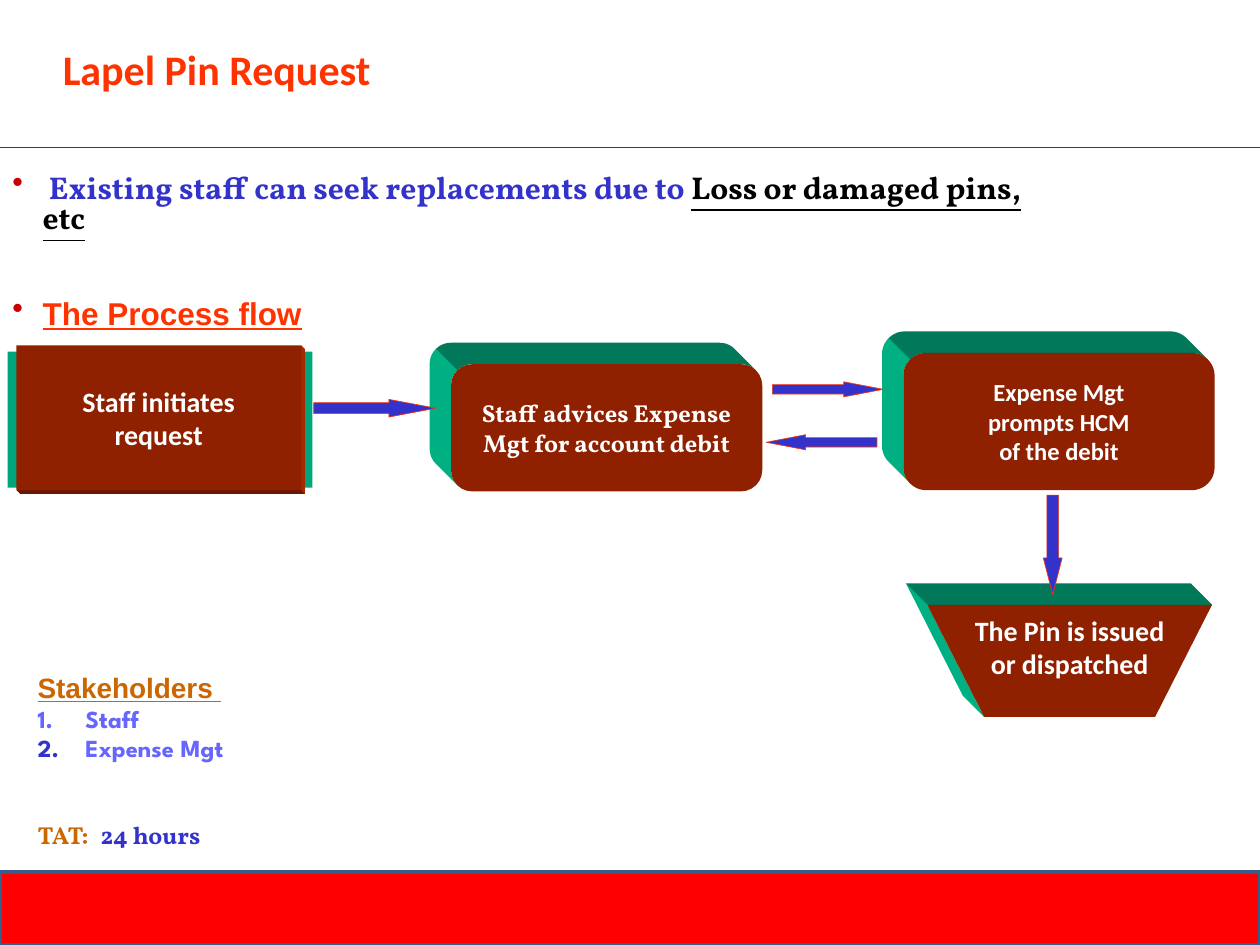
from math import cos, radians, sin

from lxml.etree import SubElement
from pptx import Presentation
from pptx.dml.color import RGBColor
from pptx.enum.shapes import MSO_CONNECTOR, MSO_SHAPE
from pptx.enum.text import MSO_ANCHOR, PP_ALIGN
from pptx.oxml.ns import qn
from pptx.util import Inches, Pt


class Theme:
    red, orange, ochre = "FF0000", "FF3300", "CC6600"
    rule, bar_edge = "CC0000", "385D8A"
    blue, violet, black, white = "3333CC", "6666FF", "000000", "FFFFFF"
    front, front_right, front_bottom = "8F2000", "A82800", "6B1800"
    side, side_top, slab = "00B083", "007859", "00A57C"
    title, lead, heading, body = 24, 18, 16, 14
    sans, head, serif, display = "Calibri", "Arial", "Vollkorn", "League Spartan"


def write(paragraph, text, size=Theme.body, font=Theme.sans, color=Theme.white,
          underline=False):
    run = paragraph.add_run()
    run.text = text
    run.font.size, run.font.name = Pt(size), font
    run.font.bold, run.font.underline = True, underline
    run.font.color.rgb = RGBColor.from_string(color)


def paint(shape, fill, line=None, width=0.37):
    shape.shadow.inherit = False
    shape.fill.solid()
    shape.fill.fore_color.rgb = RGBColor.from_string(fill)
    if line:
        shape.line.color.rgb = RGBColor.from_string(line)
        shape.line.width = Pt(width)
    else:
        shape.line.fill.background()


prs = Presentation()
prs.slide_width, prs.slide_height = Inches(10), Inches(7.5)
slide = prs.slides.add_slide(prs.slide_layouts[6])
shapes = slide.shapes

# Header rule and footer bar
rule = shapes.add_connector(MSO_CONNECTOR.STRAIGHT, 0, Inches(1.17), Inches(10), Inches(1.17))
rule.line.color.rgb = RGBColor.from_string(Theme.rule)
rule.line.width = Pt(0.75)
SubElement(rule._element.spPr, qn("a:effectLst"))
footer = shapes.add_shape(MSO_SHAPE.RECTANGLE, 0, Inches(6.92), Inches(10), Inches(0.58))
paint(footer, Theme.red, Theme.bar_edge, 2)

# Title
title = shapes.add_textbox(Inches(0.4), Inches(0.2), Inches(8.6), Inches(0.66)).text_frame
title.word_wrap = True
title.vertical_anchor = MSO_ANCHOR.MIDDLE
title.margin_top = title.margin_bottom = Inches(0.03)
title.paragraphs[0].line_spacing = 1.07
write(title.paragraphs[0], "Lapel Pin Request", size=Theme.title, color=Theme.orange)

# Visible sides of the solid steps: front edge, offset to the back edge, colour
DEPTH = 0.17
sides = []
for left, top, width, height in [(3.58, 2.89, 2.47, 1.01), (7.17, 2.8, 2.47, 1.09)]:
    radius = height / 6
    x1, x2 = left + radius, left + width - radius
    y1, y2 = top + radius, top + height - radius
    for corners, color in [
        ([(x1, y2, 135, 180), (x1, y1, 180, 225)], Theme.side),
        ([(x1, y1, 225, 270), (x2, y1, 270, 315)], Theme.side_top),
    ]:
        edge = [(cx + radius * cos(radians(angle)), cy + radius * sin(radians(angle)))
                for cx, cy, start, end in corners
                for angle in range(start, end + 1, 9)]
        sides.append((edge, -DEPTH, -DEPTH, color))
sides += [
    ([(7.36, 4.8), (7.81, 5.69)], -DEPTH, -DEPTH, Theme.side),
    ([(7.36, 4.8), (9.62, 4.8)], -DEPTH, -DEPTH, Theme.side_top),
    ([(2.39, 2.74), (2.39, 3.89)], 0.03, 0.03, Theme.front_right),
    ([(0.13, 3.89), (2.39, 3.89)], 0.03, 0.03, Theme.front_bottom),
]
slab = shapes.add_shape(MSO_SHAPE.RECTANGLE, Inches(0.06), Inches(2.79), Inches(2.42), Inches(1.08))
paint(slab, Theme.slab)
for edge, dx, dy, color in sides:
    outline = [(x + dx, y + dy) for x, y in edge] + edge[::-1]
    points = [(Inches(x), Inches(y)) for x, y in outline]
    builder = shapes.build_freeform(*points[0])
    builder.add_line_segments(points[1:], close=True)
    paint(builder.convert_to_shape(), color)

# Process steps
steps = [
    (MSO_SHAPE.RECTANGLE, 0.13, 2.74, 2.26, 1.15, Theme.heading, Theme.sans, 0.05,
     ["Staff initiates", "request"]),
    (MSO_SHAPE.FLOWCHART_ALTERNATE_PROCESS, 3.58, 2.89, 2.47, 1.01, Theme.body, Theme.serif, 0.05,
     ["Staff advices Expense", "Mgt for account debit"]),
    (MSO_SHAPE.FLOWCHART_ALTERNATE_PROCESS, 7.17, 2.8, 2.47, 1.09, Theme.body, Theme.sans, 0.05,
     ["Expense Mgt", "prompts HCM", "of the debit"]),
    (MSO_SHAPE.FLOWCHART_MANUAL_OPERATION, 7.36, 4.8, 2.26, 0.89, Theme.heading, Theme.sans, 0.27,
     ["The Pin is issued", "or dispatched"]),
]
for kind, left, top, width, height, size, font, bottom, lines in steps:
    step = shapes.add_shape(kind, Inches(left), Inches(top), Inches(width), Inches(height))
    paint(step, Theme.front)
    frame = step.text_frame
    frame.word_wrap = False
    frame.vertical_anchor = MSO_ANCHOR.MIDDLE
    frame.margin_bottom = Inches(bottom)
    for number, line in enumerate(lines):
        paragraph = frame.add_paragraph() if number else frame.paragraphs[0]
        paragraph.alignment = PP_ALIGN.CENTER
        write(paragraph, line, size=size, font=font)

# Flow arrows
for left, top, width, height, rotation, head in [
    (2.49, 3.17, 0.97, 0.14, 0, 2.66),
    (6.13, 3.03, 0.88, 0.12, 0, 2.61),
    (6.08, 3.45, 0.88, 0.12, 180, 2.61),
    (7.96, 4.25, 0.79, 0.15, 90, 1.95),
]:
    arrow = shapes.add_shape(MSO_SHAPE.RIGHT_ARROW, Inches(left), Inches(top),
                             Inches(width), Inches(height))
    arrow.adjustments[0], arrow.adjustments[1] = 0.62, head
    arrow.rotation = rotation
    paint(arrow, Theme.blue, Theme.orange)

# Text blocks: each paragraph has a marker, its colour, indent, spacing and runs
blocks = [
    (0, 1.34, 8.58, 0.34, 0.8, [
        ("•", Theme.rule, 0.24, 0, [
            (" Existing staff can seek replacements due to ",
             dict(size=Theme.lead, font=Theme.serif, color=Theme.blue)),
            ("Loss or damaged pins, etc",
             dict(size=Theme.lead, font=Theme.serif, color=Theme.black, underline=True))])]),
    (0, 2.34, 3.18, 0.34, 0.8, [
        ("•", Theme.rule, 0.24, 0, [
            ("The Process flow",
             dict(size=Theme.lead, font=Theme.head, color=Theme.orange, underline=True))])]),
    (0.2, 5.27, 3.51, 1.53, 1, [
        (None, None, 0, 0, [
            ("Stakeholders ",
             dict(size=Theme.heading, font=Theme.head, color=Theme.ochre, underline=True))]),
        ("1.", Theme.violet, 0.38, 0, [
            ("Staff", dict(font=Theme.display, color=Theme.violet))]),
        ("2.", Theme.blue, 0.38, 0, [
            ("Expense Mgt", dict(font=Theme.display, color=Theme.violet))]),
        (None, None, 0, 33, [
            ("TAT:\t", dict(font=Theme.serif, color=Theme.ochre)),
            ("24 hours", dict(font=Theme.serif, color=Theme.blue))])]),
]
for left, top, width, height, spacing, paragraphs in blocks:
    frame = shapes.add_textbox(Inches(left), Inches(top), Inches(width), Inches(height)).text_frame
    frame.word_wrap = True
    for number, (marker, marker_color, indent, before, runs) in enumerate(paragraphs):
        paragraph = frame.add_paragraph() if number else frame.paragraphs[0]
        paragraph.line_spacing = spacing
        if before:
            paragraph.space_before = Pt(before)
        properties = paragraph._p.get_or_add_pPr()
        properties.set("marL", str(Inches(indent)))
        properties.set("indent", str(-Inches(indent)))
        if marker:
            bullet_color = SubElement(properties, qn("a:buClr"))
            SubElement(bullet_color, qn("a:srgbClr"), val=marker_color)
            if marker == "•":
                SubElement(properties, qn("a:buChar"), char=marker)
            else:
                SubElement(properties, qn("a:buAutoNum"), type="arabicPeriod")
        elif before:
            tabs = SubElement(properties, qn("a:tabLst"))
            SubElement(tabs, qn("a:tab"), pos=str(Inches(0.48)), algn="l")
        for text, style in runs:
            write(paragraph, text, **style)

prs.save("out.pptx")
